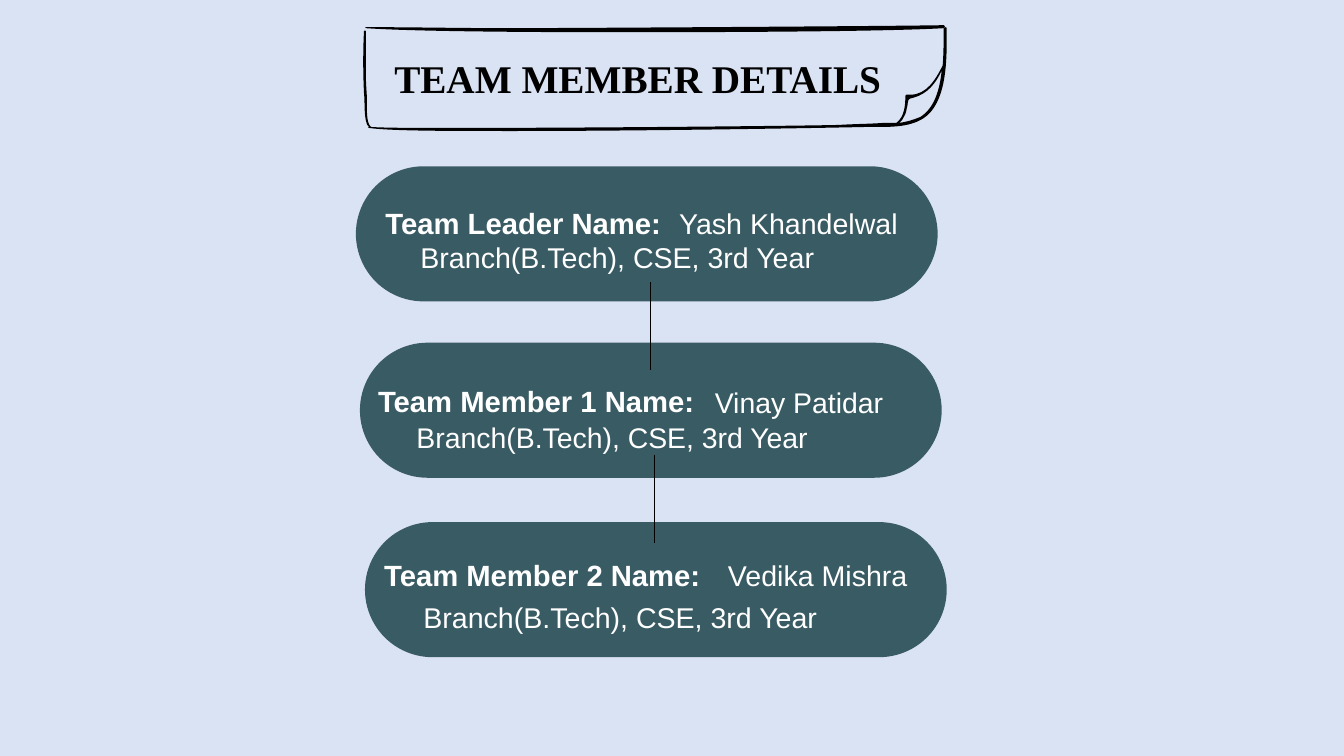
from lxml import etree
from pptx import Presentation
from pptx.dml.color import RGBColor
from pptx.enum.shapes import MSO_CONNECTOR, MSO_SHAPE
from pptx.enum.text import MSO_ANCHOR, MSO_AUTO_SIZE, PP_ALIGN
from pptx.oxml.ns import qn
from pptx.util import Inches, Pt

PALE_BLUE = RGBColor(0xDA, 0xE3, 0xF3)
TEAL = RGBColor(0x39, 0x5B, 0x64)
WHITE = RGBColor(0xFF, 0xFF, 0xFF)
BLACK = RGBColor(0, 0, 0)

CARD_WIDTH, CARD_HEIGHT = 5.77, 1.34
TEXT_HEIGHT = 0.48
LABEL_SIZE = 20.9
BRANCH = "Branch(B.Tech), CSE, 3rd Year"

# Per member: card corner, detail size, alignment of the name line,
# then (text, left, top, width) of the label, the name and the branch
MEMBERS = [
    ((3.53, 1.65), 20.4, PP_ALIGN.CENTER,
     ("Team Leader Name:", 3.78, 1.9, 2.82),
     ("Yash Khandelwal", 6.69, 1.91, 2.26),
     (BRANCH, 4.17, 2.24, 4.31)),
    ((3.57, 3.4), 20.3, PP_ALIGN.LEFT,
     ("Team Member 1 Name:", 3.75, 3.66, 3.4),
     ("Vinay Patidar", 7.09, 3.69, 2.47),
     (BRANCH, 4.13, 4.03, 4.31)),
    ((3.62, 5.18), 20.4, PP_ALIGN.LEFT,
     ("Team Member 2 Name:", 3.81, 5.39, 3.31),
     ("Vedika Mishra", 7.22, 5.4, 2.35),
     (BRANCH, 4.2, 5.82, 4.07)),
]

# (x, top, bottom) of the lines that join the cards
LINKS = [(6.45, 2.8, 3.67), (6.49, 4.51, 5.39)]

# Banner: text area, then outlines as a start point and three points per Bezier curve
TITLE_LEFT, TITLE_TOP, TITLE_RIGHT, TITLE_BOTTOM = 3.62, 0.28, 9.37, 1.27
CURL = [
    (9.34, 0.7), (9.32, 0.89), (9.27, 1.07), (9.13, 1.16),
    (9.06, 1.19), (8.99, 1.21), (8.92, 1.22),
    (8.94, 1.2), (8.96, 1.18), (8.97, 1.15),
    (8.99, 1.12), (8.99, 1.08), (9, 1.05),
    (9.01, 0.99), (9, 0.98), (9.06, 0.97),
    (9.2, 0.93), (9.28, 0.83), (9.34, 0.7),
]
FRAME = [
    (9.38, 0.27), (9.37, 0.27), (9.36, 0.28), (9.36, 0.28),
    (9.36, 0.39), (9.36, 0.52), (9.35, 0.65),
    (9.28, 0.79), (9.19, 0.94), (9.03, 0.94),
    (9.02, 0.94), (9.01, 0.94), (8.99, 0.94),
    (8.99, 0.94), (8.98, 0.95), (8.98, 0.95),
    (8.98, 1.05), (8.97, 1.16), (8.89, 1.22),
    (8.85, 1.22), (8.8, 1.22), (8.76, 1.22),
    (8.62, 1.23), (8.47, 1.23), (8.32, 1.24),
    (7.89, 1.25), (5.78, 1.27), (4.53, 1.27),
    (4.13, 1.27), (3.82, 1.27), (3.68, 1.26),
    (3.63, 1.22), (3.64, 1.07), (3.64, 1.01),
    (3.64, 0.93), (3.63, 0.86), (3.63, 0.78),
    (3.63, 0.62), (3.63, 0.46), (3.63, 0.31),
    (3.63, 0.3), (3.61, 0.3), (3.61, 0.31),
    (3.6, 0.51), (3.6, 0.71), (3.61, 0.92),
    (3.62, 1.01), (3.61, 1.11), (3.63, 1.2),
    (3.64, 1.23), (3.64, 1.25), (3.66, 1.26),
    (3.65, 1.27), (3.65, 1.27), (3.66, 1.27),
    (3.88, 1.3), (4.44, 1.3), (5.1, 1.3),
    (6.41, 1.3), (8.15, 1.27), (8.59, 1.26),
    (8.63, 1.26), (8.68, 1.26), (8.72, 1.26),
    (8.91, 1.26), (9.12, 1.25), (9.24, 1.1),
    (9.4, 0.9), (9.39, 0.53), (9.39, 0.29),
    (9.39, 0.28), (9.39, 0.27), (9.38, 0.27),
]
TOP_EDGE = [
    (9.36, 0.25), (8.89, 0.26), (5.5, 0.28), (5.04, 0.28),
    (4.57, 0.28), (4.1, 0.27), (3.63, 0.27),
    (3.62, 0.27), (3.62, 0.28), (3.63, 0.28),
    (4.06, 0.31), (5.1, 0.32), (6.19, 0.32),
    (7.49, 0.32), (8.85, 0.31), (9.36, 0.28),
    (9.38, 0.28), (9.38, 0.25), (9.36, 0.25),
]


def fill_plain(shape, color):
    shape.shadow.inherit = False
    shape.fill.solid()
    shape.fill.fore_color.rgb = color
    shape.line.fill.background()


def add_outline(slide, *contours):
    """Join the points of each contour with straight sides."""
    contours = [[(Inches(x), Inches(y)) for x, y in contour] for contour in contours]
    builder = slide.shapes.build_freeform(*contours[0][0])
    builder.add_line_segments(contours[0][1:])
    for contour in contours[1:]:
        builder.move_to(*contour[0])
        builder.add_line_segments(contour[1:])
    return builder.convert_to_shape()


def add_ink(slide, *outlines):
    ink = add_outline(slide, *(outline[::3] for outline in outlines))
    fill_plain(ink, BLACK)
    # Bend each straight side into its Bezier curve
    curves = [outline[i:i + 3] for outline in outlines for i in range(1, len(outline), 3)]
    sides = list(ink._element.spPr.iter(qn("a:lnTo")))
    for side, curve in zip(sides, curves):
        bend = etree.Element(qn("a:cubicBezTo"))
        for x, y in curve:
            etree.SubElement(bend, qn("a:pt"), x=str(Inches(x) - ink.left),
                             y=str(Inches(y) - ink.top))
        side.getparent().replace(side, bend)


def write(frame, text, size, color, font, bold=False, align=PP_ALIGN.LEFT, spacing=None):
    frame.word_wrap = True
    paragraph = frame.paragraphs[0]
    paragraph.alignment = align
    paragraph.line_spacing = spacing
    run = paragraph.add_run()
    run.text = text
    run.font.name = font
    run.font.size = Pt(size)
    run.font.bold = bold
    run.font.color.rgb = color


def add_title(slide, text):
    title = add_outline(slide, [(TITLE_LEFT, TITLE_TOP), (TITLE_RIGHT, TITLE_TOP),
                                (TITLE_RIGHT, TITLE_BOTTOM), (TITLE_LEFT, TITLE_BOTTOM)])
    title.shadow.inherit = False
    title.fill.background()
    title.line.fill.background()
    frame = title.text_frame
    frame.vertical_anchor = MSO_ANCHOR.MIDDLE
    frame.margin_left = Inches(0.29)
    frame.margin_right = frame.margin_top = frame.margin_bottom = Inches(0.1)
    write(frame, text, 28, BLACK, "Times New Roman", bold=True)


def add_text(slide, text, left, top, width, size, bold=False, align=PP_ALIGN.LEFT):
    box = slide.shapes.add_textbox(Inches(left), Inches(top), Inches(width),
                                   Inches(TEXT_HEIGHT))
    frame = box.text_frame
    frame.auto_size = MSO_AUTO_SIZE.SHAPE_TO_FIT_TEXT
    frame.margin_left = frame.margin_right = frame.margin_top = frame.margin_bottom = 0
    write(frame, text, size, WHITE, "Arial", bold, align, spacing=1.4)


def add_card(slide, left, top):
    card = slide.shapes.add_shape(MSO_SHAPE.ROUNDED_RECTANGLE, Inches(left), Inches(top),
                                  Inches(CARD_WIDTH), Inches(CARD_HEIGHT))
    card.adjustments[0] = 0.5
    fill_plain(card, TEAL)


def add_link(slide, x, top, bottom):
    link = slide.shapes.add_connector(MSO_CONNECTOR.STRAIGHT, Inches(x), Inches(top),
                                      Inches(x), Inches(bottom))
    link.line.color.rgb = BLACK
    link.line.width = Pt(0.75)
    etree.SubElement(link._element.spPr, qn("a:effectLst"))


def main():
    deck = Presentation()
    deck.slide_width, deck.slide_height = Inches(13.33), Inches(7.5)
    slide = deck.slides.add_slide(deck.slide_layouts[6])
    slide.background.fill.solid()
    slide.background.fill.fore_color.rgb = PALE_BLUE

    # Member cards
    for corner, detail_size, align, label, name, branch in MEMBERS:
        add_card(slide, *corner)
        add_text(slide, *label, LABEL_SIZE, bold=True, align=align)
        add_text(slide, *name, detail_size, align=align)
        add_text(slide, *branch, detail_size)

    # Title banner
    add_title(slide, "TEAM MEMBER DETAILS")
    add_ink(slide, CURL, FRAME)
    add_ink(slide, TOP_EDGE)

    # Links between the cards
    for link in LINKS:
        add_link(slide, *link)

    deck.save("out.pptx")


if __name__ == "__main__":
    main()
